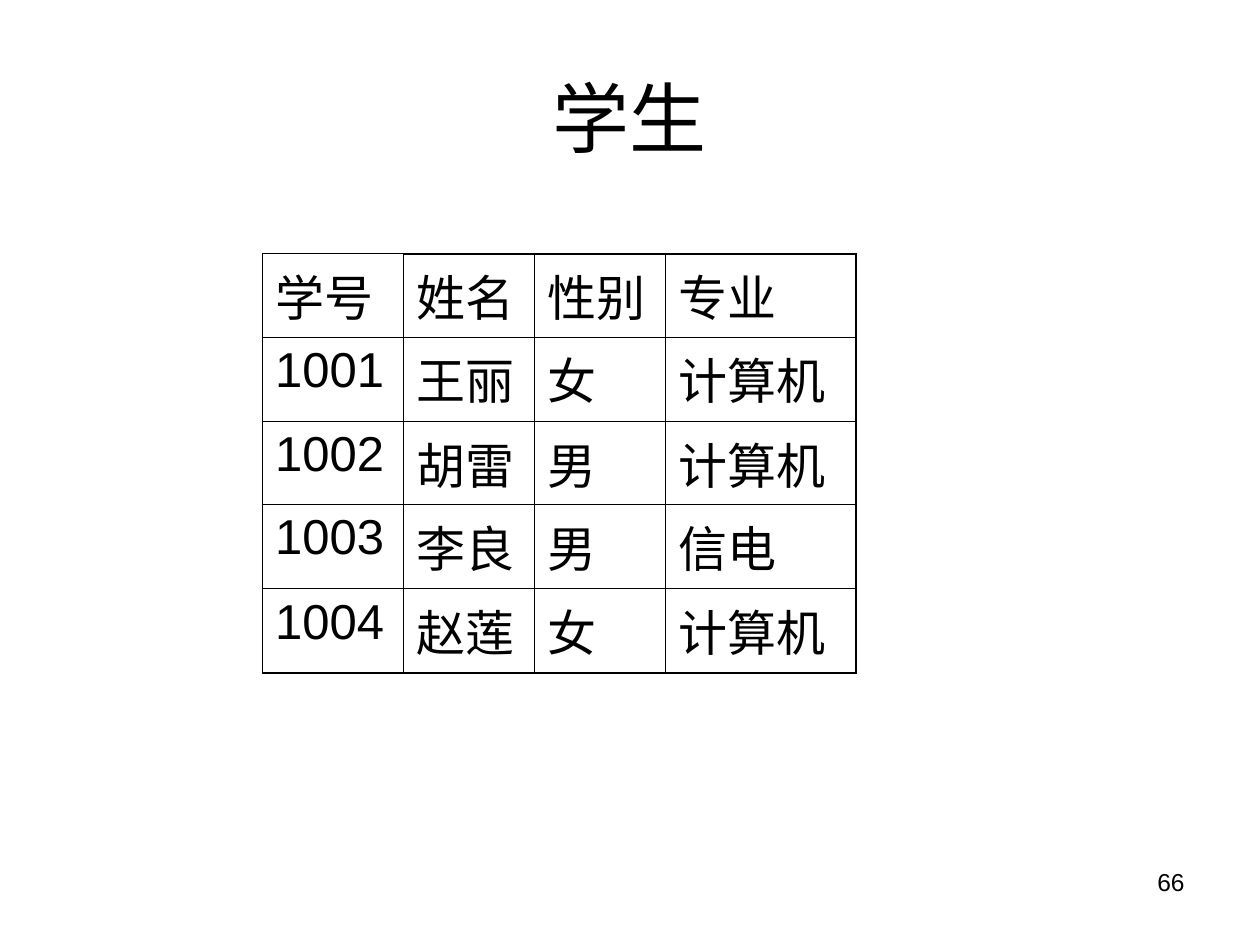
from lxml.etree import SubElement
from pptx import Presentation
from pptx.dml.color import RGBColor
from pptx.enum.text import MSO_ANCHOR, PP_ALIGN
from pptx.oxml.ns import qn
from pptx.util import Inches, Pt

# Content
TITLE = "学生"
PAGE_NUMBER = "66"
STUDENTS = [
    ("学号", "姓名", "性别", "专业"),
    ("1001", "王丽", "女", "计算机"),
    ("1002", "胡雷", "男", "计算机"),
    ("1003", "李良", "男", "信电"),
    ("1004", "赵莲", "女", "计算机"),
]

# Theme and layout
THEME = {
    "font": "Arial", "ink": "000000",
    "title": 44, "cell": 28, "page": 14,
    "inner_line": 0.45, "outer_line": 1.08,
}
SLIDE_W, SLIDE_H = Inches(10), Inches(7.5)
TABLE_LEFT, TABLE_TOP = Pt(150), Pt(145)
COLUMNS = [1.12, 1.04, 1.04, 1.51]
ROWS = [0.66, 0.67, 0.66, 0.67, 0.67]


def write(frame, text, size, align):
    paragraph = frame.paragraphs[0]
    paragraph.text = text
    paragraph.alignment = align
    font = paragraph.runs[0].font
    for name, value in {"name": THEME["font"], "size": Pt(THEME[size]), "bold": False}.items():
        setattr(font, name, value)
    font.color.rgb = RGBColor.from_string(THEME["ink"])


def place(shape, *box):
    for side, length in zip(("left", "top", "width", "height"), box):
        setattr(shape, side, Inches(length))


def border(cell, outer_sides):
    properties = cell._tc.get_or_add_tcPr()
    for side in "LRTB":
        weight = THEME["outer_line" if side in outer_sides else "inner_line"]
        line = SubElement(properties, qn(f"a:ln{side}"), w=str(Pt(weight)))
        fill = SubElement(line, qn("a:solidFill"))
        SubElement(fill, qn("a:srgbClr"), val=THEME["ink"])


def outer_sides(row, column):
    sides = {
        "L": column == 0,
        "R": column == len(COLUMNS) - 1,
        "T": row == 0 and column > 0,  # the corner cell keeps a thin top
        "B": row == len(ROWS) - 1,
    }
    return [side for side, is_outer in sides.items() if is_outer]


def main():
    deck = Presentation()
    deck.slide_width, deck.slide_height = SLIDE_W, SLIDE_H
    slide = deck.slides.add_slide(deck.slide_layouts[5])

    # Page number
    page = slide.shapes.add_textbox(0, 0, 0, 0)
    place(page, 7.17, 6.83, 2.33, 0.52)
    page.text_frame.word_wrap = True
    write(page.text_frame, PAGE_NUMBER, "page", PP_ALIGN.RIGHT)

    # Title
    title = slide.shapes.title
    place(title, 0.5, 0.3, 9, 1.25)
    title.text_frame.vertical_anchor = MSO_ANCHOR.MIDDLE
    write(title.text_frame, TITLE, "title", PP_ALIGN.CENTER)

    # Student table
    table = slide.shapes.add_table(
        len(ROWS), len(COLUMNS), TABLE_LEFT, TABLE_TOP,
        Inches(sum(COLUMNS)), Inches(sum(ROWS))).table
    for option in ("first_row", "horz_banding"):
        setattr(table, option, False)
    for column, width in zip(table.columns, COLUMNS):
        column.width = Inches(width)
    for row, height in zip(table.rows, ROWS):
        row.height = Inches(height)
    for r, student in enumerate(STUDENTS):
        for c, value in enumerate(student):
            cell = table.cell(r, c)
            write(cell.text_frame, value, "cell", PP_ALIGN.LEFT)
            border(cell, outer_sides(r, c))
            cell.fill.background()

    deck.save("out.pptx")


if __name__ == "__main__":
    main()
